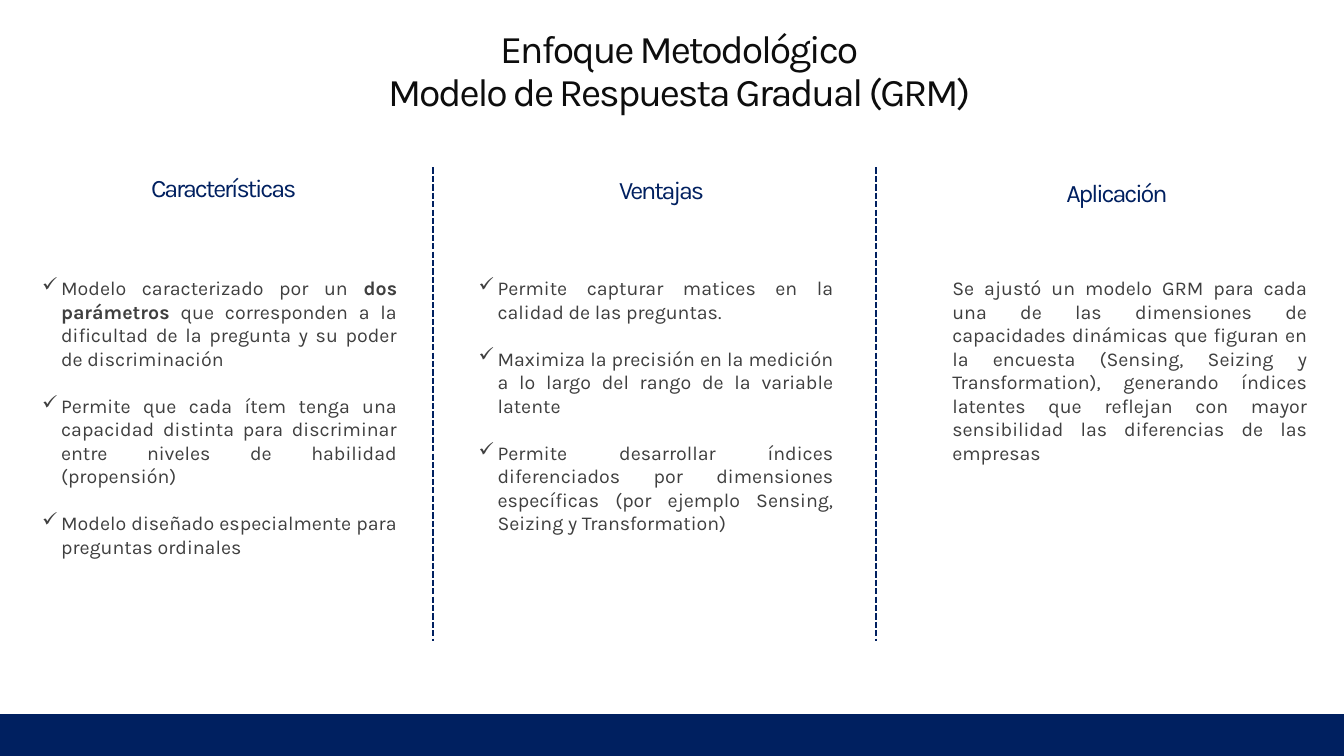
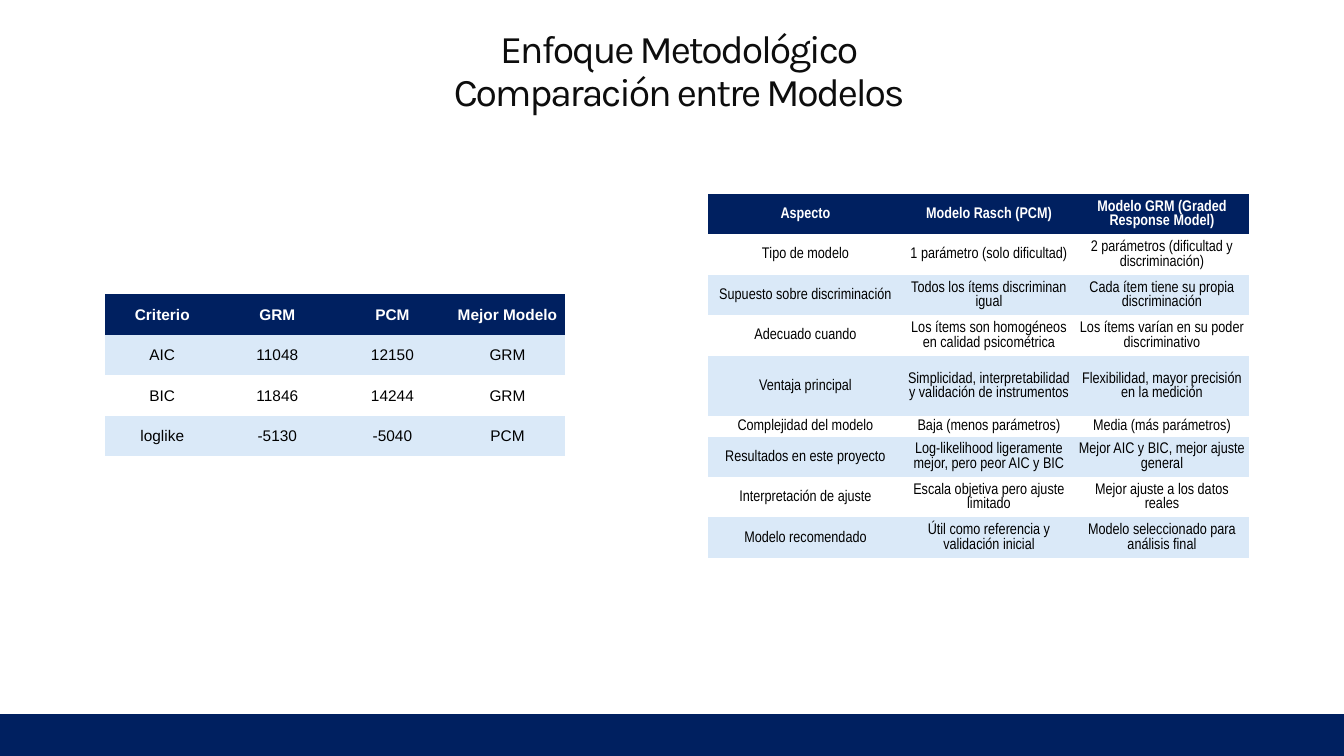
from lxml import etree
from pptx import Presentation
from pptx.dml.color import RGBColor
from pptx.enum.dml import MSO_LINE
from pptx.enum.shapes import MSO_CONNECTOR, MSO_SHAPE
from pptx.enum.text import MSO_ANCHOR, MSO_AUTO_SIZE, PP_ALIGN
from pptx.oxml.ns import qn
from pptx.util import Cm, Pt

NAVY = RGBColor(0x00, 0x20, 0x60)
PALE_BLUE = RGBColor(0xDA, 0xE9, 0xF8)
WHITE = RGBColor(0xFF, 0xFF, 0xFF)
BLACK = RGBColor(0x00, 0x00, 0x00)
TITLE_INK = RGBColor(0x0D, 0x0D, 0x0D)
BODY_INK = RGBColor(0x3F, 0x3F, 0x3F)

CENTER, JUSTIFY = PP_ALIGN.CENTER, PP_ALIGN.JUSTIFY
MIDDLE = MSO_ANCHOR.MIDDLE
GROW = MSO_AUTO_SIZE.SHAPE_TO_FIT_TEXT
DASH = MSO_LINE.SQUARE_DOT
RECTANGLE, STRAIGHT = MSO_SHAPE.RECTANGLE, MSO_CONNECTOR.STRAIGHT

SLIDE_WIDTH, SLIDE_HEIGHT = 33.87, 19.05
BAND_TOP, BAND_HEIGHT = 18.02, 1.02
HEADING_HEIGHT = 2.13
BODY_TOP, BODY_WIDTH = 6.83, 9.45
ROW_HEIGHT = 1.02
NO_STYLE_NO_GRID = "{2D5ABB26-0587-4C30-8999-92F81FD0307C}"

TITLE_FONT = {"name": "Karla", "size": Pt(28), "color": TITLE_INK}
HEADING_FONT = {"name": "Karla", "size": Pt(18), "color": NAVY}
BODY_FONT = {"name": "Karla", "size": Pt(14), "color": BODY_INK}
HEADING_FRAME = {"word_wrap": True, "vertical_anchor": MIDDLE,
                 "margin_left": Cm(0.61), "margin_right": Cm(0.25),
                 "margin_top": Cm(0.13), "margin_bottom": Cm(0.13)}
BODY_FRAME = {"word_wrap": True, "auto_size": GROW}
CELL_FORMAT = {"vertical_anchor": MIDDLE, "margin_left": Cm(0.02),
               "margin_right": Cm(0.02), "margin_top": Cm(0.02),
               "margin_bottom": 0}

# Left edge, width, heading top, heading, body left, body height, bulleted, body.
# Each body paragraph is a list of spans; every second span is bold.
COLUMNS = [
    (0, 10.92, 3.71, "Características", 0.81, 7.44, True, [
        ["Modelo caracterizado por un ", "dos parámetros",
         " que corresponden a la dificultad de la pregunta y su poder de discriminación"],
        ["Permite que cada ítem tenga una capacidad distinta para discriminar "
         "entre niveles de habilidad (propensión)"],
        ["Modelo diseñado especialmente para preguntas ordinales"]]),
    (10.92, 11.15, 3.76, "Ventajas", 11.81, 6.83, True, [
        ["Permite capturar matices en la calidad de las preguntas."],
        ["Maximiza la precisión en la medición a lo largo del rango de la variable latente"],
        ["Permite desarrollar índices diferenciados por dimensiones específicas "
         "(por ejemplo Sensing, Seizing y Transformation)"]]),
    (22.07, 11.8, 3.84, "Aplicación", 23.75, 5.05, False, [
        ["Se ajustó un modelo GRM para cada una de las dimensiones de capacidades "
         "dinámicas que figuran en la encuesta (Sensing, Seizing y Transformation), "
         "generando índices latentes que reflejan con mayor sensibilidad las "
         "diferencias de las empresas"]]),
]

MODEL_ROWS = [
    ("Aspecto", "Modelo Rasch (PCM)", "Modelo GRM (Graded Response Model)"),
    ("Tipo de modelo", "1 parámetro (solo dificultad)",
     "2 parámetros (dificultad y discriminación)"),
    ("Supuesto sobre discriminación", "Todos los ítems discriminan igual",
     "Cada ítem tiene su propia discriminación"),
    ("Adecuado cuando", "Los ítems son homogéneos en calidad psicométrica",
     "Los ítems varían en su poder discriminativo"),
    ("Ventaja principal", "Simplicidad, interpretabilidad y validación de instrumentos",
     "Flexibilidad, mayor precisión en la medición"),
    ("Complejidad del modelo", "Baja (menos parámetros)", "Media (más parámetros)"),
    ("Resultados en este proyecto", "Log-likelihood ligeramente mejor, pero peor AIC y BIC",
     "Mejor AIC y BIC, mejor ajuste general"),
    ("Interpretación de ajuste", "Escala objetiva pero ajuste limitado",
     "Mejor ajuste a los datos reales"),
    ("Modelo recomendado", "Útil como referencia y validación inicial",
     "Modelo seleccionado para análisis final"),
]
MODEL_HEIGHTS = {4: 1.53, 5: 0.51}

CRITERIA_ROWS = [
    ("Criterio", "GRM", "PCM", "Mejor Modelo"),
    ("AIC", "11048", "12150", "GRM"),
    ("BIC", "11846", "14244", "GRM"),
    ("loglike", "-5130", "-5040", "PCM"),
]


def apply(target, values):
    for name, value in values.items():
        setattr(target, name, value)


def add_span(para, text, font, bold=False):
    span = para.add_run()
    span.text = text
    apply(span.font, {"name": font["name"], "size": font["size"], "bold": bold})
    span.font.color.rgb = font["color"]
    return span


def add_box(slide, left, top, width, height, frame_format):
    box = slide.shapes.add_textbox(Cm(left), Cm(top), Cm(width), Cm(height))
    apply(box.text_frame, frame_format)
    return box.text_frame


def add_heading(slide, left, top, width, lines, font):
    """Add centred, tightly tracked lines in a single paragraph."""
    frame = add_box(slide, left, top, width, HEADING_HEIGHT, HEADING_FRAME)
    para = frame.paragraphs[0]
    apply(para, {"alignment": CENTER, "line_spacing": 0.9})
    for index, line in enumerate(lines):
        if index:
            para.add_line_break()
        span = add_span(para, line, font)
        span.font._element.set("spc", "-150")


def add_check_bullet(para):
    properties = para._p.get_or_add_pPr()
    properties.set("marL", str(Cm(0.48)))
    properties.set("indent", str(-Cm(0.48)))
    etree.SubElement(properties, qn("a:buChar")).set("char", "✓")


def add_body(slide, left, height, bulleted, paragraphs):
    frame = add_box(slide, left, BODY_TOP, BODY_WIDTH, height, BODY_FRAME)
    for index, spans in enumerate(paragraphs):
        para = frame.add_paragraph() if index else frame.paragraphs[0]
        if bulleted:
            add_check_bullet(para)
        para.alignment = JUSTIFY
        if index:
            para.space_before = Pt(16.8)
        for position, text in enumerate(spans):
            add_span(para, text, BODY_FONT, bold=position % 2 == 1)


def add_divider(slide, x):
    divider = slide.shapes.add_connector(STRAIGHT, Cm(x), Cm(4.22), Cm(x), Cm(16.15))
    apply(divider.line, {"width": Pt(1.5), "dash_style": DASH})
    divider.line.color.rgb = NAVY
    etree.SubElement(divider._element.spPr, qn("a:effectLst"))


def add_grid(slide, left, top, widths, rows, font_name, shaded_parity, heights=None):
    """Add a table whose body rows of the given parity are shaded."""
    heights = heights or {}
    row_heights = [heights.get(index, ROW_HEIGHT) for index in range(len(rows))]
    table = slide.shapes.add_table(len(rows), len(widths), Cm(left), Cm(top),
                                   Cm(sum(widths)), Cm(sum(row_heights))).table
    table.horz_banding = False
    table._tbl.tblPr.find(qn("a:tableStyleId")).text = NO_STYLE_NO_GRID
    for column, width in zip(table.columns, widths):
        column.width = Cm(width)
    for row_index, texts in enumerate(rows):
        table.rows[row_index].height = Cm(row_heights[row_index])
        header = row_index == 0
        shaded = row_index % 2 == shaded_parity
        font = {"name": font_name, "size": Pt(11), "color": WHITE if header else BLACK}
        for cell, text in zip(table.rows[row_index].cells, texts):
            apply(cell, CELL_FORMAT)
            if header or shaded:
                cell.fill.solid()
                cell.fill.fore_color.rgb = NAVY if header else PALE_BLUE
            else:
                cell.fill.background()
            para = cell.text_frame.paragraphs[0]
            para.alignment = CENTER
            add_span(para, text, font, bold=header)


def add_base_slide(deck, subject):
    """Add a slide with the footer band and the two-line title."""
    slide = deck.slides.add_slide(deck.slide_layouts[6])
    band = slide.shapes.add_shape(RECTANGLE, 0, Cm(BAND_TOP), Cm(SLIDE_WIDTH),
                                  Cm(BAND_HEIGHT))
    band.shadow.inherit = False
    band.fill.solid()
    band.fill.fore_color.rgb = NAVY
    band.line.color.rgb = NAVY
    band.line.width = Pt(1)
    add_heading(slide, 0, 0.76, SLIDE_WIDTH, ["Enfoque Metodológico", subject], TITLE_FONT)
    return slide


def add_model_slide(deck):
    slide = add_base_slide(deck, "Modelo de Respuesta Gradual (GRM)")
    for left, width, top, heading, body_left, height, bulleted, body in COLUMNS:
        if left:
            add_divider(slide, left)
        add_heading(slide, left, top, width, [heading], HEADING_FONT)
        add_body(slide, body_left, height, bulleted, body)


def add_comparison_slide(deck):
    slide = add_base_slide(deck, "Comparación entre Modelos")
    add_grid(slide, 17.85, 4.88, [4.9, 4.35, 4.37], MODEL_ROWS, "Arial Narrow", 0,
             MODEL_HEIGHTS)
    add_grid(slide, 2.64, 7.42, [2.9] * 4, CRITERIA_ROWS, "Arial", 1)


def main():
    deck = Presentation()
    deck.slide_width, deck.slide_height = Cm(SLIDE_WIDTH), Cm(SLIDE_HEIGHT)
    add_model_slide(deck)
    add_comparison_slide(deck)
    deck.save("out.pptx")


if __name__ == "__main__":
    main()
